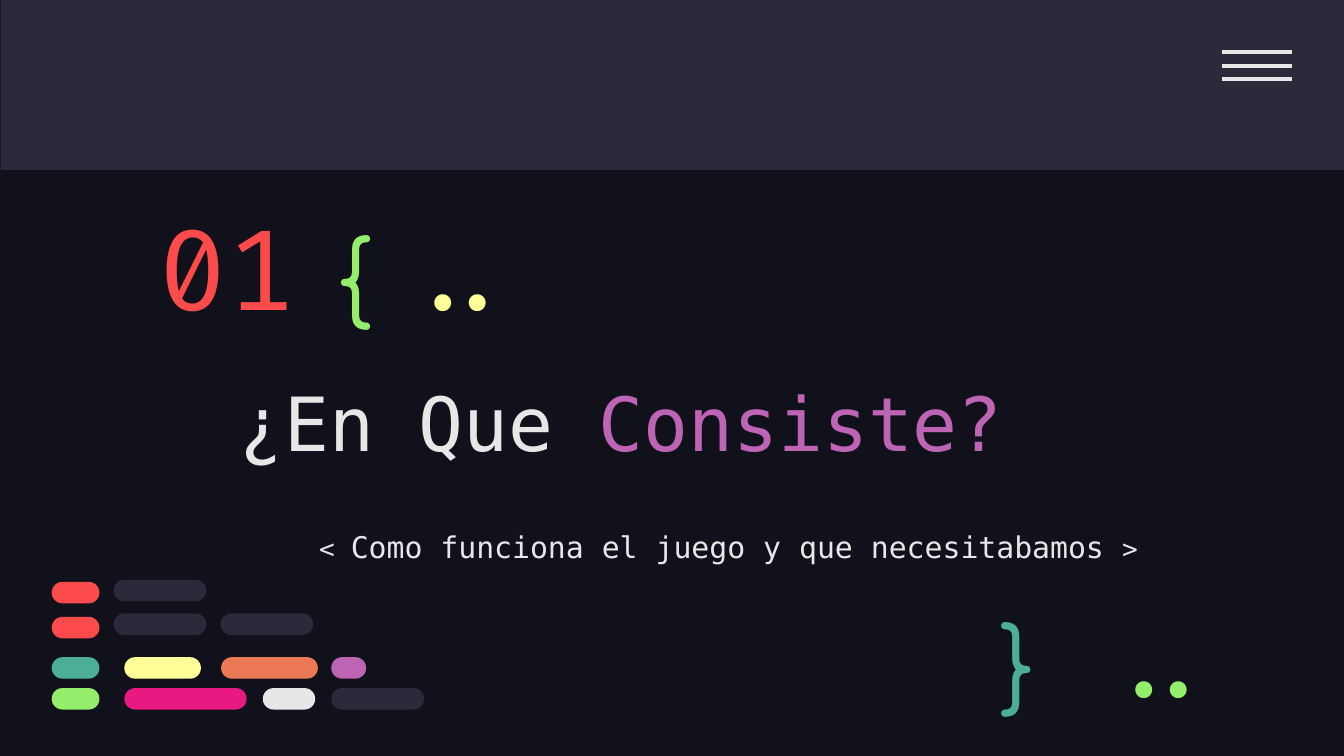
"""Build the section slide "01 ¿En Que Consiste?" with code-style decorations."""
from lxml import etree
from pptx import Presentation
from pptx.dml.color import RGBColor
from pptx.enum.shapes import MSO_CONNECTOR, MSO_SHAPE
from pptx.enum.text import MSO_ANCHOR, MSO_AUTO_SIZE, PP_ALIGN
from pptx.oxml.ns import qn
from pptx.util import Pt

PX = 4572
LEFT, RIGHT = PP_ALIGN.LEFT, PP_ALIGN.RIGHT
TOP, MIDDLE = MSO_ANCHOR.TOP, MSO_ANCHOR.MIDDLE
RECTANGLE, PILL = MSO_SHAPE.RECTANGLE, MSO_SHAPE.ROUNDED_RECTANGLE
STRAIGHT, FIXED = MSO_CONNECTOR.STRAIGHT, MSO_AUTO_SIZE.NONE
MONO, CODE, ROUND = "DejaVu Sans Mono", "Fira Code", "Comfortaa"
NIGHT, SLATE, WHITE = "10111A", "2C293A", "E7E7E7"
RED, GREEN, TEAL, YELLOW = "FD4A4A", "94EE6B", "4CAE97", "FFFF99"
ORANGE, PURPLE, PINK = "EC7955", "BD64B5", "E81A81"


def color(value):
    return RGBColor.from_string(value)


def write(shape, box, runs, font, anchor=TOP, align=LEFT, spacing=1.0):
    shape.left, shape.top, shape.width, shape.height = [n * PX for n in box]
    frame = shape.text_frame
    frame_format = {
        "word_wrap": True, "auto_size": FIXED, "vertical_anchor": anchor,
        "margin_left": 20 * PX, "margin_right": 20 * PX,
        "margin_top": 20 * PX, "margin_bottom": 20 * PX,
    }
    for name, value in frame_format.items():
        setattr(frame, name, value)
    paragraph = frame.paragraphs[0]
    paragraph_format = {"alignment": align, "line_spacing": spacing, "space_before": Pt(0)}
    for name, value in paragraph_format.items():
        setattr(paragraph, name, value)
    for text, size, fill in runs:
        run = paragraph.add_run()
        run.text = text
        for name, value in {"name": font, "size": Pt(size), "bold": False}.items():
            setattr(run.font, name, value)
        run.font.color.rgb = color(fill)


presentation = Presentation()
presentation.slide_width, presentation.slide_height = 2000 * PX, 1125 * PX
slide = presentation.slides.add_slide(presentation.slide_layouts[0])
slide.background.fill.solid()
slide.background.fill.fore_color.rgb = color(NIGHT)
shapes = slide.shapes

band = shapes.add_shape(RECTANGLE, PX, 0, 2000 * PX, 253 * PX)
band.shadow.inherit = False
band.fill.solid()
band.fill.fore_color.rgb = color(SLATE)
band.line.fill.background()

menu = shapes.add_group_shape()
for y in range(78, 119, 20):
    line = menu.shapes.add_connector(STRAIGHT, 1818 * PX, y * PX, 1922 * PX, y * PX)
    line.line.color.rgb = color(WHITE)
    line.line.width = Pt(2.25)
    etree.SubElement(line._element.spPr, qn("a:effectLst"))

write(shapes.title, (336, 497, 1452, 262),
      [("¿En Que ", 40, WHITE), ("Consiste?", 40, PURPLE)], MONO, MIDDLE)
write(slide.placeholders[1], (455, 759, 1322, 62),
      [("< ", 14, WHITE), ("Como funciona el juego y que necesitabamos ", 16, WHITE),
       (">", 14, WHITE)], MONO, spacing=1.15)

decorations = [
    ((216, 296, 362, 200), "01", 60, RED, CODE, MIDDLE, LEFT),
    ((481, 300, 154, 190), "{", 50, GREEN, ROUND, TOP, LEFT),
    ((1469, 876, 114, 166), "}", 50, TEAL, ROUND, TOP, LEFT),
    ((1620, 923, 214, 120), "..", 50, GREEN, CODE, MIDDLE, RIGHT),
    ((577, 347, 214, 120), "..", 50, YELLOW, CODE, MIDDLE, RIGHT),
]
for box, text, size, fill, font, anchor, align in decorations:
    write(shapes.add_textbox(0, 0, 0, 0), box, [(text, size, fill)], font, anchor, align)

code_rows = {
    863: [(169, 138, SLATE)],
    866: [(77, 71, RED)],
    913: [(169, 138, SLATE), (328, 138, SLATE)],
    918: [(77, 71, RED)],
    978: [(77, 71, TEAL), (185, 114, YELLOW), (329, 144, ORANGE), (493, 52, PURPLE)],
    1024: [(77, 71, GREEN), (185, 182, PINK), (391, 78, WHITE), (493, 138, SLATE)],
}
code_lines = shapes.add_group_shape()
for top, pills in code_rows.items():
    for left, width, fill in pills:
        pill = code_lines.shapes.add_shape(PILL, left * PX, top * PX, width * PX, 32 * PX)
        pill.adjustments[0] = 0.5
        pill.shadow.inherit = False
        pill.fill.solid()
        pill.fill.fore_color.rgb = color(fill)
        pill.line.fill.background()

presentation.save("out.pptx")
